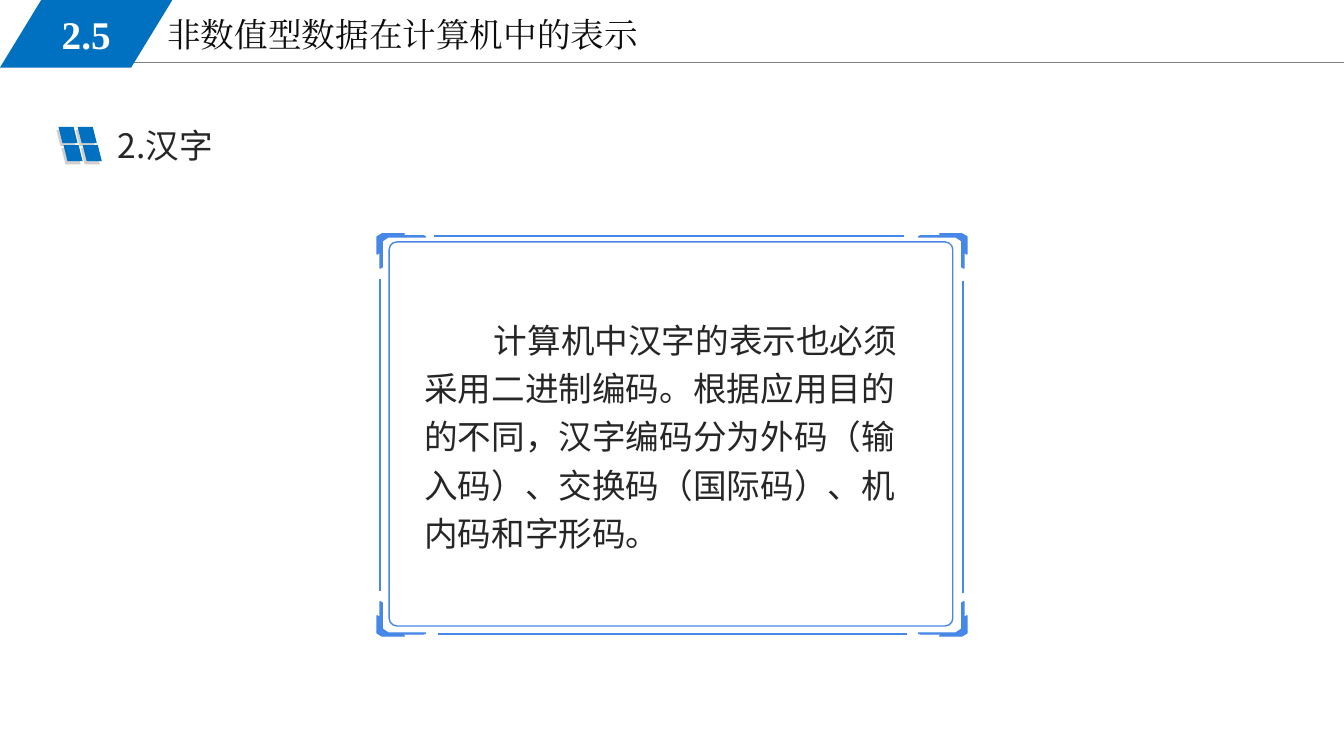
from lxml import etree
from pptx import Presentation
from pptx.dml.color import RGBColor
from pptx.enum.shapes import MSO_CONNECTOR, MSO_SHAPE
from pptx.enum.text import MSO_ANCHOR, MSO_AUTO_SIZE, PP_ALIGN
from pptx.oxml.ns import qn
from pptx.util import Inches, Pt

STRAIGHT = MSO_CONNECTOR.STRAIGHT
PARALLELOGRAM = MSO_SHAPE.PARALLELOGRAM
ROUNDED = MSO_SHAPE.ROUNDED_RECTANGLE
TOP, MIDDLE = MSO_ANCHOR.TOP, MSO_ANCHOR.MIDDLE
LEFT, CENTER = PP_ALIGN.LEFT, PP_ALIGN.CENTER
NO_AUTOFIT = MSO_AUTO_SIZE.NONE

COLORS = {
    "title": "0D0D0D", "body": "262626", "white": "FFFFFF", "rule": "808080",
    "accent": "0070C0", "shade": "D0CECE", "frame": "4788E6",
}
SERIF, SANS = "Times New Roman", "Noto Sans CJK SC"

CORNER = [
    (0.05, 0), (0.27, 0), (0.24, 0.02), (0.46, 0.02), (0.48, 0.03),
    (0.11, 0.03), (0.05, 0.07), (0.05, 0.33), (0.03, 0.34), (0.03, 0.18),
    (0, 0.2), (0, 0.03),
]


class SlideBuilder:
    def __init__(self, slide):
        self.slide = slide
        self.shapes = slide.shapes

    def color(self, name):
        return RGBColor.from_string(COLORS[name])

    def paint(self, shape, fill=None, line=None):
        shape.shadow.inherit = False
        if fill:
            shape.fill.solid()
            shape.fill.fore_color.rgb = self.color(fill)
        else:
            shape.fill.background()
        if line:
            shape.line.color.rgb = self.color(line)
            shape.line.width = Pt(1)
        else:
            shape.line.fill.background()

    def set_text(self, shape, text, size, font, color, bold=False, align=LEFT,
                 anchor=TOP, first_indent=None, spacing=1.0):
        frame = shape.text_frame
        frame.word_wrap = True
        frame.auto_size = NO_AUTOFIT
        frame.vertical_anchor = anchor
        paragraph = frame.paragraphs[0]
        paragraph.alignment = align
        paragraph.line_spacing = spacing
        if first_indent:
            paragraph._p.get_or_add_pPr().set("indent", str(Inches(first_indent)))
        run = paragraph.add_run()
        run.text = text
        run.font.size = Pt(size)
        run.font.bold = bold
        run.font.color.rgb = self.color(color)
        run.font.name = font
        east_asian = etree.SubElement(run._r.get_or_add_rPr(), qn("a:ea"))
        east_asian.set("typeface", font)

    def title(self, box, text):
        heading = self.shapes.title
        heading.left, heading.top, heading.width, heading.height = map(Inches, box)
        self.set_text(heading, text, 24, SERIF, "title")

    def text(self, box, text, **style):
        self.set_text(self.shapes.add_textbox(*map(Inches, box)), text, 24, SANS,
                      "body", **style)

    def shape(self, kind, box, adjust, fill=None, line=None, flip=False):
        shape = self.shapes.add_shape(kind, *map(Inches, box))
        shape.adjustments[0] = adjust
        self.paint(shape, fill, line)
        if flip:
            shape._element.spPr.find(qn("a:xfrm")).set("flipH", "1")
        return shape

    def line(self, start, end, color, width):
        line = self.shapes.add_connector(STRAIGHT, *map(Inches, start + end))
        line.line.color.rgb = self.color(color)
        line.line.width = Pt(width)
        etree.SubElement(line._element.spPr, qn("a:effectLst"))

    def corner(self, x, y, x_sign, y_sign):
        points = [(Inches(x + x_sign * dx), Inches(y + y_sign * dy))
                  for dx, dy in CORNER]
        outline = self.shapes.build_freeform(*points[0])
        outline.add_line_segments(points[1:])
        self.paint(outline.convert_to_shape(), "frame", "frame")


def main():
    deck = Presentation()
    deck.slide_width, deck.slide_height = Inches(13.33), Inches(7.5)
    page = SlideBuilder(deck.slides.add_slide(deck.slide_layouts[5]))

    page.line((1.13, 0.62), (13.33, 0.62), "rule", 0.75)
    page.title((1.56, 0.09, 5.67, 0.51), "非数值型数据在计算机中的表示")
    section = page.shape(PARALLELOGRAM, (0, 0, 1.71, 0.67), 0.61, "accent")
    page.set_text(section, "2.5", 28, SERIF, "white", True, CENTER, MIDDLE)

    for fill, left, top in (("shade", 0.56, 1.29), ("accent", 0.58, 1.26)):
        for row in range(2):
            for column in range(2):
                tile = (left + 0.19 * column + 0.05 * row, top + 0.18 * row,
                        0.19, 0.16)
                page.shape(PARALLELOGRAM, tile, 0.25, fill, flip=True)
    page.text((1.07, 1.19, 5.12, 0.5), "2.汉字")

    page.shape(ROUNDED, (3.86, 2.4, 5.59, 3.81), 0.02, line="frame")
    for x, x_sign in ((3.74, 1), (9.59, -1)):
        for y, y_sign in ((2.32, 1), (6.31, -1)):
            page.corner(x, y, x_sign, y_sign)
    for start, end in (
        ((4.3, 2.34), (8.97, 2.34)),
        ((4.34, 6.29), (9, 6.29)),
        ((3.77, 2.77), (3.77, 5.86)),
        ((9.55, 2.79), (9.55, 5.88)),
    ):
        page.line(start, end, "frame", 1)
    page.text(
        (4.11, 3.04, 5.11, 2.52),
        "计算机中汉字的表示也必须采用二进制编码。根据应用目的的不同，"
        "汉字编码分为外码（输入码）、交换码（国际码）、机内码和字形码。",
        first_indent=0.69, spacing=1.2)

    deck.save("out.pptx")


if __name__ == "__main__":
    main()
